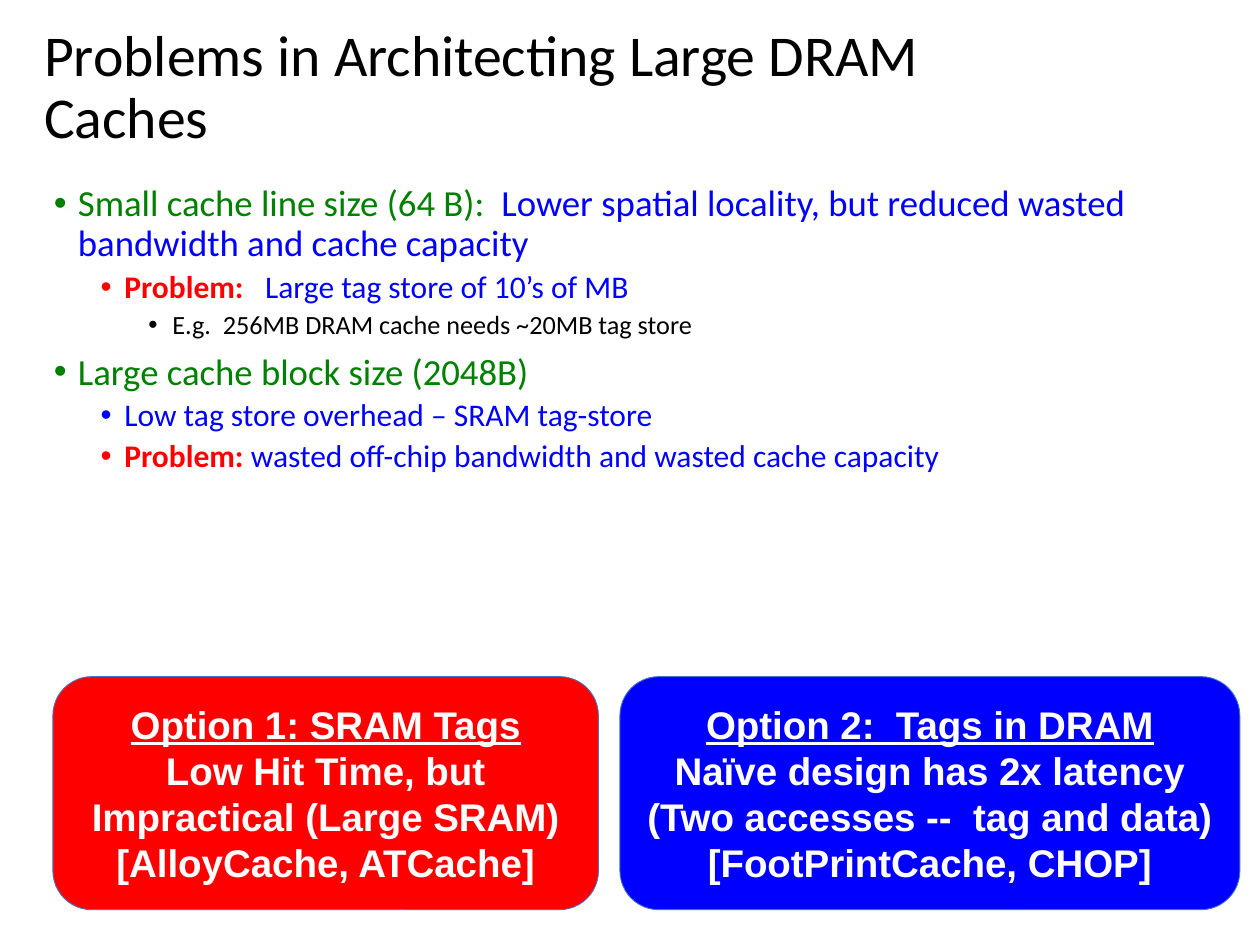
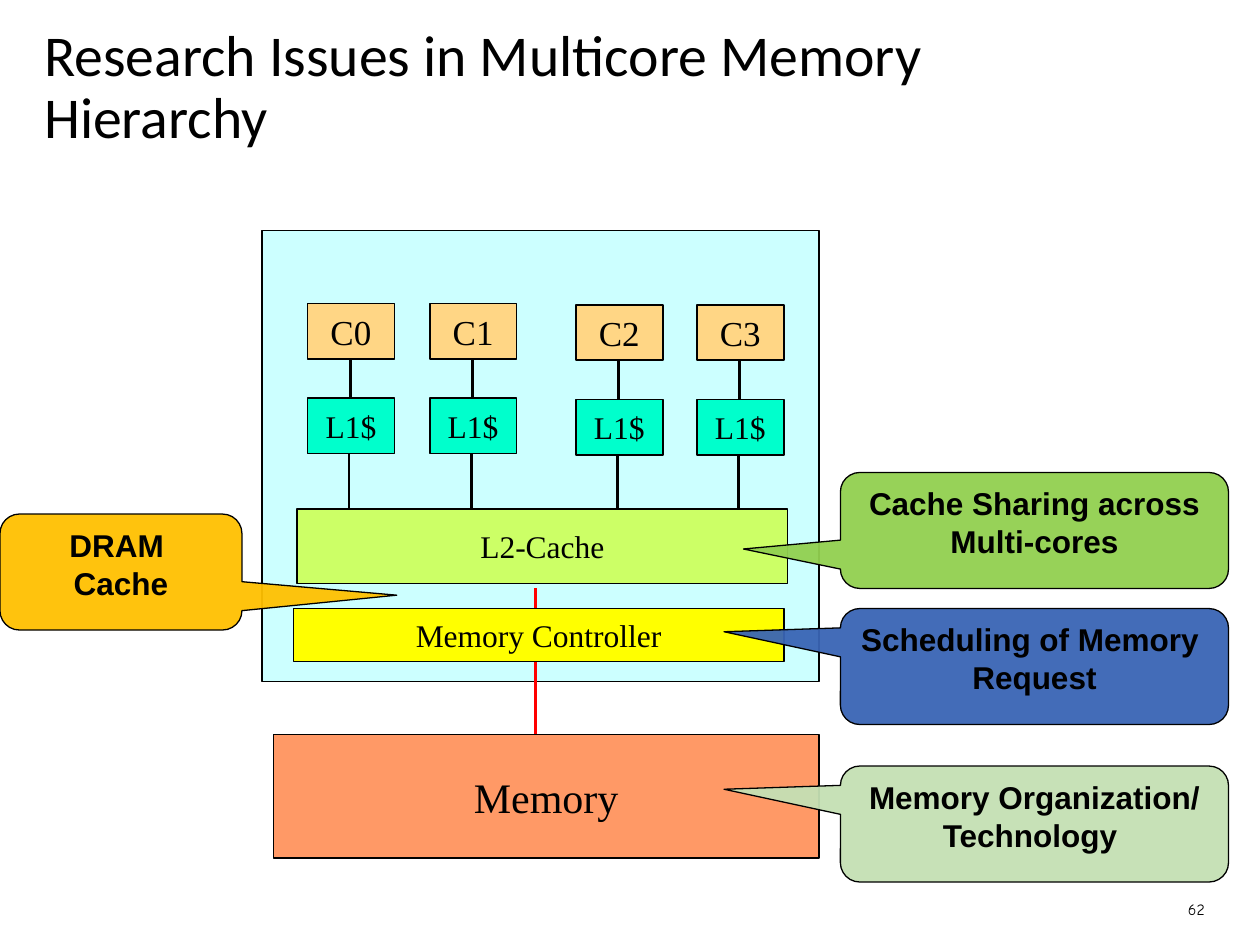
"""Build two slides on DRAM caches and the multicore memory hierarchy."""
from typing import NamedTuple

from lxml import etree
from pptx import Presentation
from pptx import util as u
from pptx.dml.color import RGBColor
from pptx.enum import shapes, text
from pptx.oxml.ns import qn

EMU_PER_PX = 9144
COLOURS = {
    "black": "000000", "white": "FFFFFF", "red": "FF0000", "blue": "0000FF",
    "green": "008000", "outline": "4472C4", "chip": "CCFFFF", "l2": "CCFF66",
    "core": "FFD685", "l1": "00FFCC", "memory": "FF9966", "controller": "FFFF00",
    "scheduling": "3965B5", "technology": "C5E0B4", "sharing": "92D050", "dram": "FFC000",
}
RECTANGLE = shapes.MSO_SHAPE.RECTANGLE
ROUNDED = shapes.MSO_SHAPE.ROUNDED_RECTANGLE
CALLOUT = shapes.MSO_SHAPE.ROUNDED_RECTANGULAR_CALLOUT
CENTRE = text.PP_ALIGN.CENTER
MIDDLE = text.MSO_ANCHOR.MIDDLE


class Area(NamedTuple):
    """Left, top, width and height in px."""
    left: int
    top: int
    width: int
    height: int


class Style(NamedTuple):
    """Font of a paragraph or run."""
    name: str
    size: int
    colour: str = "black"
    bold: bool = False


class Piece(NamedTuple):
    """Coloured part of a bullet."""
    words: str
    colour: str
    bold: bool = False


class Bullet(NamedTuple):
    """Bullet with its level and pieces."""
    level: int
    pieces: list[Piece]


class Option(NamedTuple):
    """Design option whose first line is a heading."""
    area: Area
    fill: str
    lines: list[str]


class Block(NamedTuple):
    """Labelled hardware block."""
    area: Area
    fill: str
    label: str
    size: int


class Callout(NamedTuple):
    """Research issue with the offset of its pointer tip."""
    area: Area
    fill: str
    label: str
    tip: tuple[float, float]


PROBLEM = Piece("Problem: ", "red", True)
BULLET_SIZES = [21, 18, 15]
BULLETS = [
    Bullet(0, [Piece("Small cache line size (64 B):  ", "green"),
               Piece("Lower spatial locality, but reduced wasted bandwidth and cache capacity", "blue")]),
    Bullet(1, [PROBLEM._replace(words="Problem:   "), Piece("Large tag store of 10’s of MB", "blue")]),
    Bullet(2, [Piece("E.g.  256MB DRAM cache needs ~20MB tag store", "black")]),
    Bullet(0, [Piece("Large cache block size (2048B)", "green")]),
    Bullet(1, [Piece("Low tag store overhead – SRAM tag-store", "blue")]),
    Bullet(1, [PROBLEM, Piece("wasted off-chip bandwidth and wasted cache capacity", "blue")]),
]
OPTIONS = [
    Option(Area(42, 537, 433, 185), "red",
           ["Option 1: SRAM Tags", "Low Hit Time, but Impractical (Large SRAM)", "[AlloyCache, ATCache]"]),
    Option(Area(492, 537, 492, 185), "blue",
           ["Option 2:  Tags in DRAM", "Naïve design has 2x latency",
            "(Two accesses --  tag and data)", "[FootPrintCache, CHOP]"]),
]
L2_CACHE = Block(Area(236, 404, 389, 59), "l2", "L2-Cache", 18)
MEMORY = Block(Area(217, 583, 433, 98), "memory", "Memory", 24)
CONTROLLER = Block(Area(233, 483, 389, 42), "controller", "Memory Controller", 18)
CORE_CORNERS = [(244, 241), (341, 241), (457, 242), (553, 242)]
CALLOUTS = [
    Callout(Area(667, 483, 308, 92), "scheduling", "Scheduling of Memory \nRequest", (-0.8, -0.3)),
    Callout(Area(667, 608, 308, 92), "technology", "Memory Organization/ Technology ", (-0.8, -0.3)),
    Callout(Area(667, 375, 308, 92), "sharing", "Cache Sharing across Multi-cores", (-0.75, 0.16)),
    Callout(Area(0, 408, 192, 92), "dram", "DRAM \nCache", (1.14, 0.2)),
]


def px(length: int) -> u.Emu:
    """Turn px into EMU."""
    return u.Emu(length * EMU_PER_PX)


def rgb(colour: str) -> RGBColor:
    """Look up a named colour."""
    return RGBColor.from_string(COLOURS[colour])


def set_font(font, style: Style) -> None:
    """Apply a style to a font."""
    font.name, font.size, font.bold = style.name, u.Pt(style.size), style.bold
    font.color.rgb = rgb(style.colour)


def write(frame, lines: list[str], style: Style, align=CENTRE, anchor=MIDDLE, wrap: bool = True) -> None:
    """Fill a text frame with equally styled paragraphs."""
    frame.word_wrap, frame.vertical_anchor = wrap, anchor
    for index, line in enumerate(lines):
        paragraph = frame.add_paragraph() if index else frame.paragraphs[0]
        paragraph.text, paragraph.alignment = line, align
        set_font(paragraph.font, style)


def add_titled_slide(presentation, title: str, width: int):
    """Add a slide with a formatted title."""
    slide = presentation.slides.add_slide(presentation.slide_layouts[5])
    shape = slide.shapes.title
    shape.left, shape.top, shape.width, shape.height = map(px, Area(25, 8, width, 125))
    write(shape.text_frame, [title], Style("Calibri", 33), text.PP_ALIGN.LEFT)
    shape.text_frame.auto_size = text.MSO_AUTO_SIZE.NONE
    shape.text_frame.paragraphs[0].line_spacing = 0.9
    return slide


def add_shape(slide, kind, area: Area, fill: str, line: str = "black", weight: float = 1):
    """Add a flat filled shape."""
    shape = slide.shapes.add_shape(kind, *map(px, area))
    shape.shadow.inherit = False
    shape.fill.solid()
    shape.fill.fore_color.rgb = rgb(fill)
    shape.line.color.rgb, shape.line.width = rgb(line), u.Pt(weight)
    return shape


def add_block(slide, block: Block) -> None:
    """Draw a hardware block."""
    shape = add_shape(slide, RECTANGLE, block.area, block.fill)
    write(shape.text_frame, [block.label], Style("Times New Roman", block.size), wrap=False)


def add_link(slide, x: int, top: int, bottom: int, colour: str = "black", weight: float = 1.5) -> None:
    """Draw a vertical line."""
    link = slide.shapes.add_connector(shapes.MSO_CONNECTOR.STRAIGHT, px(x), px(top), px(x), px(bottom))
    link.line.color.rgb, link.line.width = rgb(colour), u.Pt(weight)
    etree.SubElement(link.element.spPr, qn("a:effectLst"))


def add_bullets(slide, area: Area, bullets: list[Bullet]) -> None:
    """Write the bulleted text."""
    frame = slide.shapes.add_textbox(*map(px, area)).text_frame
    frame.word_wrap = True
    for index, bullet in enumerate(bullets):
        paragraph = frame.add_paragraph() if index else frame.paragraphs[0]
        paragraph.level, paragraph.line_spacing = bullet.level, 0.9
        if index:
            paragraph.space_before = u.Pt(3.8 if bullet.level else 7.5)
        properties = paragraph._p.get_or_add_pPr()
        properties.set("marL", str(px(19 + 37 * bullet.level + bullet.level // 2)))
        properties.set("indent", str(px(-19)))
        etree.SubElement(properties, qn("a:buFont"), typeface="Arial")
        etree.SubElement(properties, qn("a:buChar"), char="•")
        for piece in bullet.pieces:
            run = paragraph.add_run()
            run.text = piece.words
            set_font(run.font, Style("Calibri", BULLET_SIZES[bullet.level], piece.colour, piece.bold))


def add_option(slide, option: Option) -> None:
    """Draw a design option with an underlined heading."""
    shape = add_shape(slide, ROUNDED, option.area, option.fill, "outline", 0.5)
    write(shape.text_frame, option.lines, Style("Arial", 22, "white", True))
    shape.text_frame.paragraphs[0].font.underline = True


def add_core(slide, left: int, top: int, label: str) -> None:
    """Draw a core with its cache and links."""
    core, cache = Area(left, top, 69, 44), Area(left, top + 75, 69, 44)
    add_block(slide, Block(core, "core", label, 20))
    add_block(slide, Block(cache, "l1", "L1$", 18))
    add_link(slide, left + 34, top + core.height, cache.top)
    add_link(slide, left + 33, cache.top + cache.height, top + 163)


def add_callout(slide, callout: Callout) -> None:
    """Draw a slightly transparent callout."""
    shape = add_shape(slide, CALLOUT, callout.area, callout.fill, weight=0.75)
    shape.adjustments[0], shape.adjustments[1] = callout.tip
    colour = shape.fill._xPr.find(qn("a:solidFill"))[0]
    etree.SubElement(colour, qn("a:alpha"), val="95000")
    write(shape.text_frame, [callout.label], Style("Arial", 18, bold=True), anchor=text.MSO_ANCHOR.TOP)


def build_problems(presentation) -> None:
    """Build the slide on DRAM cache problems."""
    slide = add_titled_slide(presentation, "Problems in Architecting Large DRAM Caches", 850)
    add_bullets(slide, Area(33, 142, 950, 575), BULLETS)
    for option in OPTIONS:
        add_option(slide, option)


def build_hierarchy(presentation) -> None:
    """Build the slide on the memory hierarchy."""
    slide = add_titled_slide(presentation, "Research Issues in Multicore Memory Hierarchy", 842)
    number = slide.shapes.add_textbox(*map(px, Area(733, 708, 233, 27)))
    write(number.text_frame, ["62"], Style("Comic Neue", 9), text.PP_ALIGN.RIGHT)
    add_shape(slide, RECTANGLE, Area(208, 183, 442, 358), "chip")
    add_block(slide, L2_CACHE)
    for index, (left, top) in enumerate(CORE_CORNERS):
        add_core(slide, left, top, f"C{index}")
    add_link(slide, 425, 467, MEMORY.area.top, "red", 2.25)
    add_block(slide, MEMORY)
    add_block(slide, CONTROLLER)
    for callout in CALLOUTS:
        add_callout(slide, callout)


def main() -> None:
    """Build and save the presentation."""
    presentation = Presentation()
    presentation.slide_width, presentation.slide_height = px(1000), px(750)
    build_problems(presentation)
    build_hierarchy(presentation)
    presentation.save("out.pptx")


if __name__ == "__main__":
    main()
